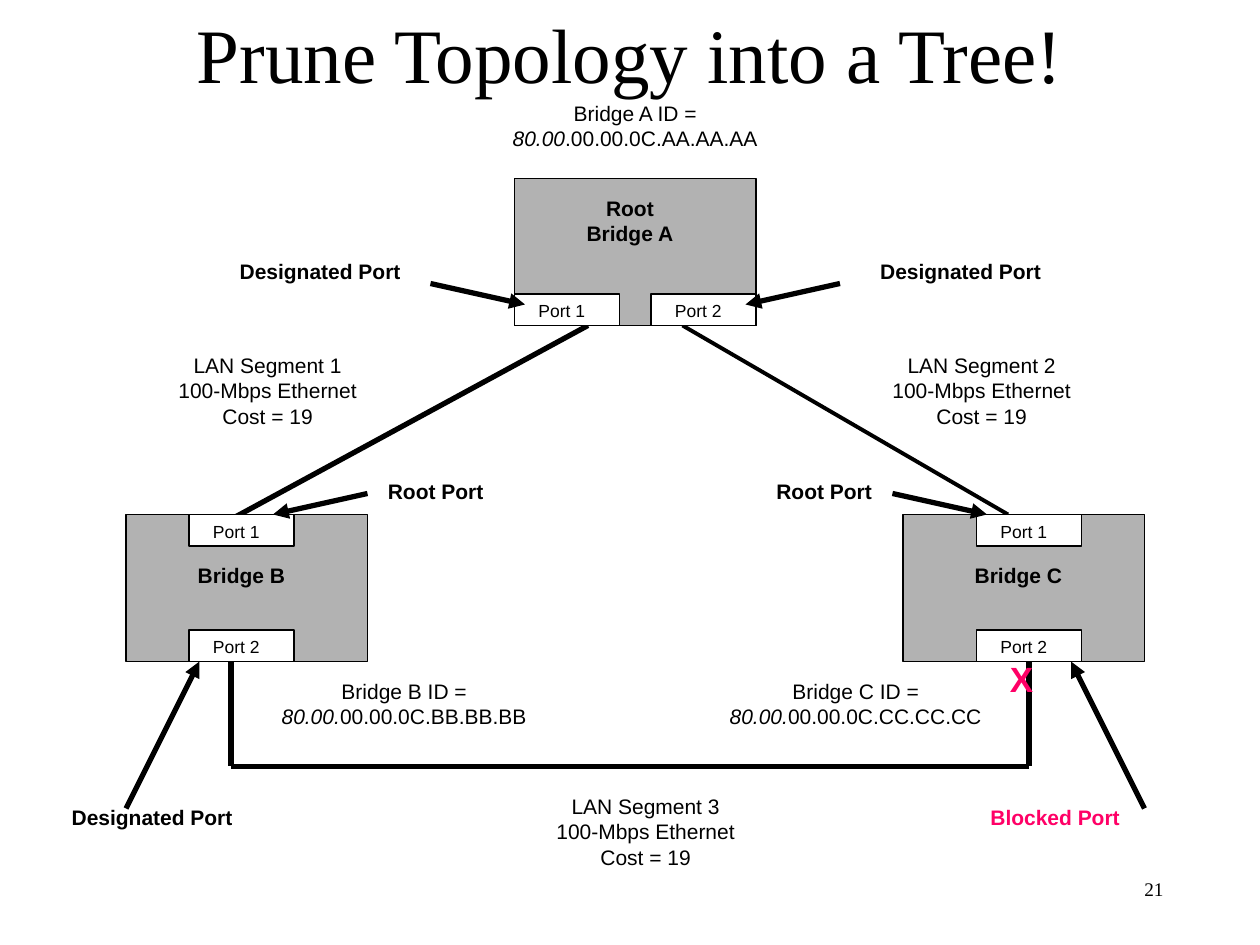
"""Build a slide showing a bridge topology pruned into a tree."""
import pptx
import pptx.util
import pptx.dml.color
import pptx.enum.shapes
import pptx.enum.text
import pptx.oxml
import lxml.etree

BLACK, WHITE, GRAY, PINK = "000000", "FFFFFF", "B2B2B2", "FF0066"
ALIGN = pptx.enum.text.PP_ALIGN


def px(n):
    return pptx.util.Emu(n * 9525)


def color(code):
    return pptx.dml.color.RGBColor.from_string(code)


class Page:
    """Hold the text style and the slide being drawn."""

    def __init__(self, slide, font="Arial", size=12):
        self.slide, self.font, self.size = slide, font, size

    def text(self, x, y, w, h, words, size=None, bold=False, ink=BLACK,
             align=ALIGN.CENTER, font=None, wrap=True, middle=False):
        frame = self.slide.shapes.add_textbox(px(x), px(y), px(w), px(h)).text_frame
        frame.word_wrap = wrap
        if middle:
            frame.vertical_anchor = pptx.enum.text.MSO_ANCHOR.MIDDLE
        frame.text = words
        for para in frame.paragraphs:
            para.alignment = align
            para.font.size = pptx.util.Pt(size or self.size)
            para.font.name = font or self.font
            para.font.bold = bold
            para.font.color.rgb = color(ink)
            for run in para.runs:
                run.font.size = pptx.util.Pt(size or self.size)
                run.font.name = font or self.font
                run.font.bold = bold
                run.font.color.rgb = color(ink)
        return frame

    def address(self, x, y, name, lead, rest):
        para = self.text(x, y, 280, 67, f"Bridge {name} ID = ").paragraphs[0]
        for words, slant in ((lead, True), (rest, False)):
            run = para.add_run()
            run.text = words
            run.font.italic = slant
            run.font.size = pptx.util.Pt(self.size)
            run.font.name = self.font
            run.font.color.rgb = color(BLACK)

    def box(self, x, y, w, h, fill):
        shape = self.slide.shapes.add_shape(
            pptx.enum.shapes.MSO_SHAPE.RECTANGLE, px(x), px(y), px(w), px(h))
        shape.shadow.inherit = False
        shape.fill.solid()
        shape.fill.fore_color.rgb = color(fill)
        shape.line.color.rgb = color(BLACK)
        shape.line.width = pptx.util.Pt(0.75)
        return shape

    def bridge(self, x, y, words, top):
        self.box(x, y, 184, 112, GRAY)
        self.text(x - 8, y + top, 192, 29, words, bold=True)

    def port(self, x, y, number):
        shape = self.box(x, y, 80, 24, WHITE)
        self.text(x - 8, y, 88, 26, f"Port {number}", size=10)
        return shape

    def line(self, x1, y1, x2, y2, width=3, arrow=False):
        link = self.slide.shapes.add_connector(
            pptx.enum.shapes.MSO_CONNECTOR.STRAIGHT, px(x1), px(y1), px(x2), px(y2))
        link.line.color.rgb = color(BLACK)
        link.line.width = pptx.util.Pt(width)
        props = link._element.spPr
        if arrow:
            tip = lxml.etree.SubElement(link.line._ln, pptx.oxml.ns.qn("a:tailEnd"))
            tip.set("type", "triangle")
        lxml.etree.SubElement(props, pptx.oxml.ns.qn("a:effectLst"))
        return link


def main():
    deck = pptx.Presentation()
    deck.slide_width, deck.slide_height = px(960), px(720)
    page = Page(deck.slides.add_slide(deck.slide_layouts[6]))

    page.text(72, 16, 816, 48, "Prune Topology into a Tree!", size=44,
              font="Times New Roman", middle=True)
    page.text(72, 664, 824, 28, "21", size=11, align=ALIGN.RIGHT,
              font="Times New Roman")

    page.line(448, 248, 168, 400)
    page.line(520, 248, 768, 392, width=2.25)
    page.line(784, 584, 176, 584)
    page.line(176, 504, 176, 584)

    page.bridge(392, 136, "Root\nBridge A", 8)
    page.bridge(96, 392, "Bridge B", 32)
    page.bridge(688, 392, "Bridge C", 32)
    for x, y, number in ((392, 224, 1), (496, 224, 2), (144, 392, 1),
                         (144, 480, 2), (744, 392, 1)):
        page.port(x, y, number)
    blocked = page.port(744, 480, 2)
    page.line(784, 504, 784, 584).begin_connect(blocked, 2)

    page.address(344, 72, "A", "80.00", ".00.00.0C.AA.AA.AA")
    page.address(168, 512, "B", "80.00.", "00.00.0C.BB.BB.BB")
    page.address(512, 512, "C", "80.00.", "00.00.0C.CC.CC.CC")

    for number, x, y in ((1, 64, 264), (2, 608, 264), (3, 352, 600)):
        page.text(x, y, 280, 67,
                  f"LAN Segment {number}\n100-Mbps Ethernet\nCost = 19")

    for role, x, y, ink in (("Root", 192, 360, BLACK), ("Root", 488, 360, BLACK),
                            ("Designated", 104, 192, BLACK),
                            ("Designated", 592, 192, BLACK),
                            ("Designated", -24, 608, BLACK),
                            ("Blocked", 664, 608, PINK)):
        page.text(x, y, 280, 29, f"{role} Port", bold=True, ink=ink)

    for ends in ((280, 376, 208, 392), (680, 376, 752, 392),
                 (328, 216, 400, 232), (640, 216, 568, 232),
                 (96, 616, 152, 504), (872, 616, 816, 504)):
        page.line(*ends, arrow=True)
    page.text(760, 496, 36, 42, "X", size=20, bold=True, ink=PINK,
              align=ALIGN.LEFT, wrap=False)

    deck.save("out.pptx")


if __name__ == "__main__":
    main()
